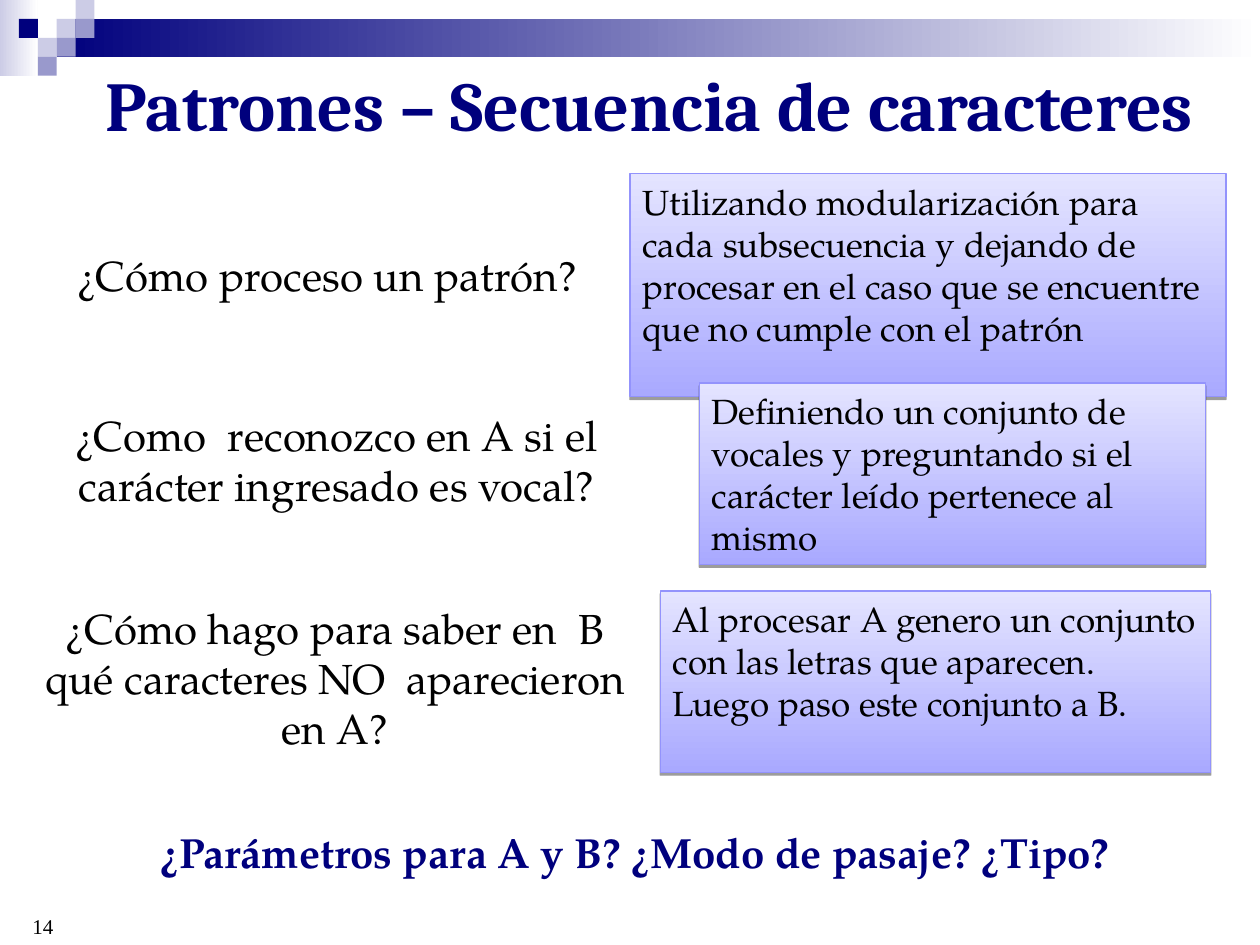
from lxml.etree import SubElement
from pptx import Presentation
from pptx.dml.color import RGBColor
from pptx.enum.shapes import MSO_SHAPE as Preset
from pptx.enum.text import MSO_ANCHOR as Anchor, MSO_AUTO_SIZE as AutoSize, PP_ALIGN as Align
from pptx.oxml.ns import qn
from pptx.util import Inches, Pt

COLUMNS, ROWS = 100, 75
NAVY, BLACK = "00007D", "000000"
LILAC, MAUVE = "CCCCE6", "9999CC"
BODY_FONT = "TeX Gyre Pagella"
SQUARES = [(3, 1, LILAC), (4, 0, LILAC), (4, 1, MAUVE), (2, 2, LILAC),
           (1, 1, NAVY), (3, 2, MAUVE), (2, 3, MAUVE)]
PAIRS = [
    ("¿Como  reconozco en A si el carácter ingresado es vocal?", (2.7, 32, 48, 9),
     "Utilizando modularización para cada subsecuencia y dejando de procesar "
     "en el caso que se encuentre que no cumple con el patrón", (50, 13.8, 47.3, 17.7)),
    ("¿Cómo hago para saber en  B qué caracteres NO  aparecieron en A?", (1.6, 47.3, 50, 13),
     "Definiendo un conjunto de vocales y preguntando si el carácter leído "
     "pertenece al mismo", (55.5, 30.4, 40.2, 14.4)),
    ("¿Cómo proceso un patrón?", (2.7, 19.3, 46.5, 5),
     "Al procesar A genero un conjunto con las letras que aparecen. "
     "Luego paso este conjunto a B.", (52.4, 46.9, 43.7, 14.4)),
]


def rgb(value):
    """Turn a hex string into a colour."""
    return RGBColor.from_string(value)


def place(box):
    """Turn grid columns and rows into slide lengths."""
    return [Inches(10 * length / COLUMNS) for length in box]


def write(shape, text, size, font=BODY_FONT, color=BLACK, bold=False,
          align=Align.LEFT, anchor=Anchor.TOP):
    """Write one formatted paragraph into a shape."""
    frame = shape.text_frame
    frame.word_wrap, frame.auto_size = True, AutoSize.NONE
    frame.vertical_anchor = anchor
    paragraph = frame.paragraphs[0]
    paragraph.text, paragraph.alignment = text, align
    paragraph.font.name, paragraph.font.size = font, Pt(size)
    paragraph.font.bold, paragraph.font.color.rgb = bold, rgb(color)


def add_rectangle(slide, box, *colors, angle=0):
    """Add a borderless rectangle in one colour or a two-colour gradient."""
    shape = slide.shapes.add_shape(Preset.RECTANGLE, *place(box))
    shape.shadow.inherit = False
    shape.line.fill.background()
    if len(colors) == 1:
        shape.fill.solid()
        shape.fill.fore_color.rgb = rgb(colors[0])
    else:
        shape.fill.gradient()
        shape.fill.gradient_angle = angle
        for stop, color in zip(shape.fill.gradient_stops, colors):
            stop.color.rgb = rgb(color)
    return shape


def add_banner(slide, box):
    """Draw the fading bar and its mosaic of squares across the box."""
    left, top, width, height = box
    side = height / 4
    add_rectangle(slide, (left, top, 2 * side, height), LILAC, "FFFFFF")
    add_rectangle(slide, (left + 3 * side, top + side, width - 3 * side, 2 * side), NAVY, "FFFFFF")
    for column, row, color in SQUARES:
        add_rectangle(slide, (left + column * side, top + row * side, side, side), color)


def add_title(slide, box, text):
    """Move and format the title placeholder."""
    title = slide.shapes.title
    title.left, title.top, title.width, title.height = place(box)
    write(title, text, 40, "Cambria", NAVY, True, Align.RIGHT, Anchor.MIDDLE)


def add_label(slide, box, text, size=24, **style):
    """Add a text box."""
    write(slide.shapes.add_textbox(*place(box)), text, size, **style)


def add_answer(slide, box, text):
    """Add a shaded answer card with a thin shadow below it."""
    card = add_rectangle(slide, box, "A9A9FF", "E4E4FF", angle=90)
    card.line.color.rgb, card.line.width = rgb("9393FC"), Pt(0.75)
    effects = card._element.spPr.find(qn("a:effectLst"))
    shadow = SubElement(effects, qn("a:outerShdw"), blurRad="0", dist=str(Pt(1.6)),
                        dir="5400000", rotWithShape="0")
    color = SubElement(shadow, qn("a:srgbClr"), val=BLACK)
    SubElement(color, qn("a:alpha"), val="38000")
    write(card, text, 20)


def main():
    """Build the slide."""
    presentation = Presentation()
    presentation.slide_width, presentation.slide_height = place((COLUMNS, ROWS))
    slide = presentation.slides.add_slide(presentation.slide_layouts[5])
    add_banner(slide, (0, 0, COLUMNS, 6))
    add_title(slide, (2, 3.1, 93.7, 10.2), "Patrones – Secuencia de caracteres")
    add_label(slide, (1.6, 70, 5, 5), "14", 12, font="Times New Roman", anchor=Anchor.BOTTOM)
    for question, question_box, answer, answer_box in PAIRS:
        add_label(slide, question_box, question, align=Align.CENTER)
        add_answer(slide, answer_box, answer)
    add_label(slide, (7.5, 65.1, 85.8, 9), "¿Parámetros para A y B? ¿Modo de pasaje? ¿Tipo?",
              color=NAVY, bold=True, align=Align.CENTER)
    presentation.save("out.pptx")


if __name__ == "__main__":
    main()
